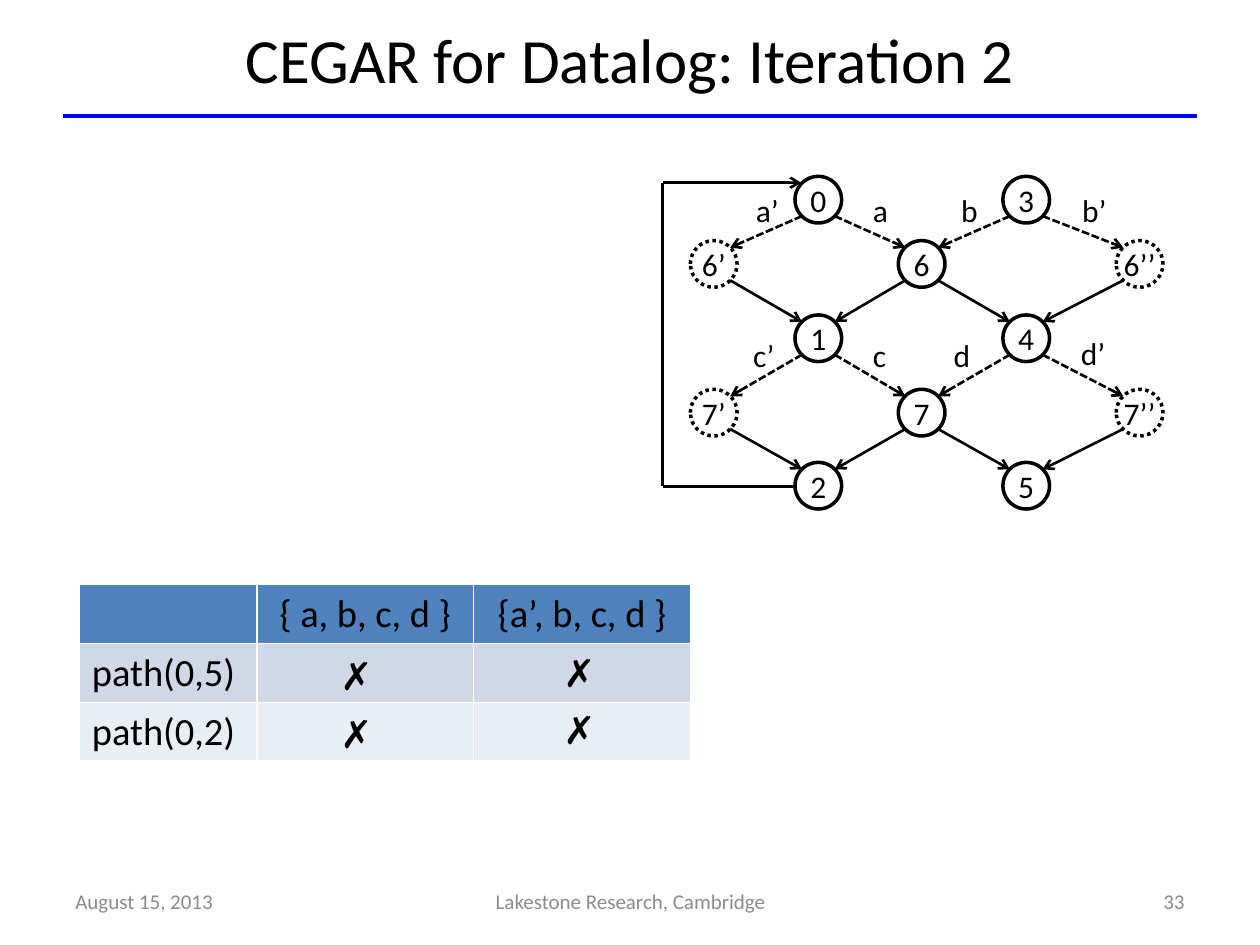
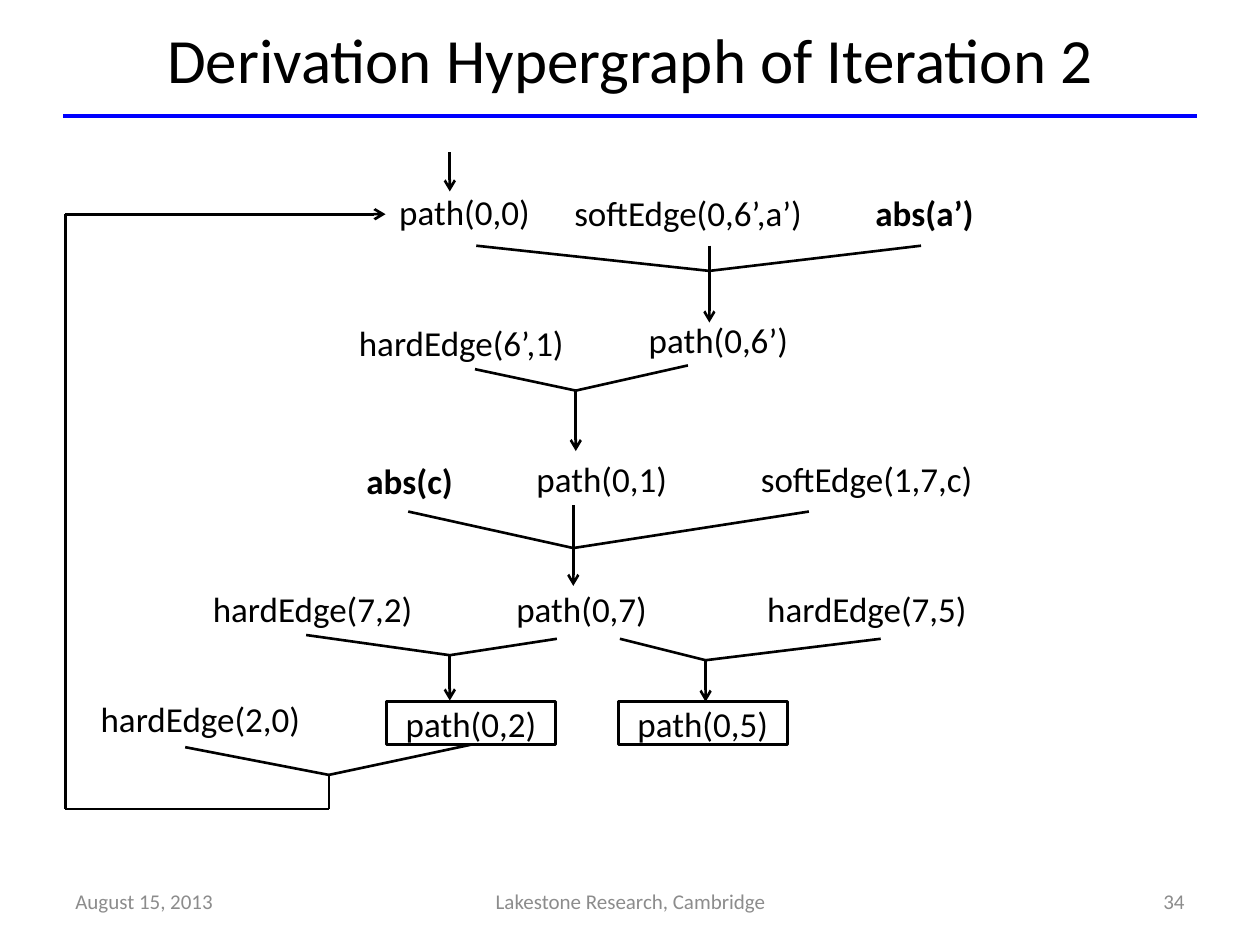
import lxml.etree
import pptx
import pptx.dml.color
import pptx.enum.dml
import pptx.enum.shapes
import pptx.enum.text
import pptx.oxml.ns
import pptx.util

Inches = pptx.util.Inches
BLACK = pptx.dml.color.RGBColor(0x00, 0x00, 0x00)
WHITE = pptx.dml.color.RGBColor(0xFF, 0xFF, 0xFF)
RULE_BLUE = pptx.dml.color.RGBColor(0x00, 0x00, 0xFF)
FOOTER_GRAY = pptx.dml.color.RGBColor(0x8C, 0x8C, 0x8C)
HEADER_BLUE = pptx.dml.color.RGBColor(0x4F, 0x81, 0xBD)
BAND_DARK = pptx.dml.color.RGBColor(0xD0, 0xD8, 0xE8)
BAND_LIGHT = pptx.dml.color.RGBColor(0xE9, 0xED, 0xF4)

LEFT = pptx.enum.text.PP_ALIGN.LEFT
CENTER = pptx.enum.text.PP_ALIGN.CENTER
RIGHT = pptx.enum.text.PP_ALIGN.RIGHT
TOP = pptx.enum.text.MSO_ANCHOR.TOP
MIDDLE = pptx.enum.text.MSO_ANCHOR.MIDDLE
DASHED = pptx.enum.dml.MSO_LINE.SQUARE_DOT
DOTTED = pptx.enum.dml.MSO_LINE.ROUND_DOT
OVAL = pptx.enum.shapes.MSO_SHAPE.OVAL
RECTANGLE = pptx.enum.shapes.MSO_SHAPE.RECTANGLE
STRAIGHT = pptx.enum.shapes.MSO_CONNECTOR.STRAIGHT


def write(frame, text, size, align=LEFT, anchor=TOP, color=BLACK, face="Calibri", bold=False):
    frame.text = text
    frame.word_wrap = True
    frame.vertical_anchor = anchor
    paragraph = frame.paragraphs[0]
    paragraph.alignment = align
    font = paragraph.runs[0].font
    font.name = face
    font.size = pptx.util.Pt(size)
    font.color.rgb = color
    font.bold = bold


def connect(slide, start, end, arrow=False, color=BLACK, width=1.5, dash=None):
    connector = slide.shapes.add_connector(STRAIGHT, *[Inches(v) for v in (*start, *end)])
    connector.line.color.rgb = color
    connector.line.width = pptx.util.Pt(width)
    if dash:
        connector.line.dash_style = dash
    properties = connector._element.spPr
    if arrow:
        outline = properties.find(pptx.oxml.ns.qn("a:ln"))
        lxml.etree.SubElement(outline, pptx.oxml.ns.qn("a:tailEnd"), type="arrow")
    lxml.etree.SubElement(properties, pptx.oxml.ns.qn("a:effectLst"))


deck = pptx.Presentation()
deck.slide_width = Inches(10)
deck.slide_height = Inches(7.5)

slides = []
for number, heading in [
    ("33", "CEGAR for Datalog: Iteration 2"),
    ("34", "Derivation Hypergraph of Iteration 2"),
]:
    slide = deck.slides.add_slide(deck.slide_layouts[5])
    slides.append(slide)
    connect(slide, (0.5, 0.92), (9.5, 0.92), color=RULE_BLUE, width=2.25)
    title = slide.shapes.title
    title.left, title.top, title.width, title.height = [Inches(v) for v in (0.5, 0, 9, 0.92)]
    write(title.text_frame, heading, 36, CENTER, MIDDLE)
    for left, width, text, align in [
        (0.5, 2.33, "August 15, 2013", LEFT),
        (3.42, 3.17, "Lakestone Research, Cambridge", CENTER),
        (7.17, 2.33, number, RIGHT),
    ]:
        footer = slide.shapes.add_textbox(Inches(left), Inches(6.95), Inches(width), Inches(0.4))
        write(footer.text_frame, text, 12, align, MIDDLE, FOOTER_GRAY)

iteration, hypergraph = slides

NODE_SIZE = 0.37
EDGE_OFFSET = 0.13
node_columns = [5.48, 6.31, 7.13, 7.96, 8.86]
node_rows = [1.4, 1.91, 2.5, 3.09, 3.67]
nodes = {
    "0": (1, 0), "3": (3, 0),
    "6’": (0, 1), "6": (2, 1), "6’’": (4, 1),
    "1": (1, 2), "4": (3, 2),
    "7’": (0, 3), "7": (2, 3), "7’’": (4, 3),
    "2": (1, 4), "5": (3, 4),
}
centers = {}
for name, (column, row) in nodes.items():
    left, top = node_columns[column], node_rows[row]
    centers[name] = (left + NODE_SIZE / 2, top + NODE_SIZE / 2)
    node = iteration.shapes.add_shape(
        OVAL, Inches(left), Inches(top), Inches(NODE_SIZE), Inches(NODE_SIZE))
    node.shadow.inherit = False
    node.fill.solid()
    node.fill.fore_color.rgb = WHITE
    node.line.color.rgb = BLACK
    node.line.width = pptx.util.Pt(2)
    if "’" in name:
        node.line.dash_style = DOTTED
    frame = node.text_frame
    frame.margin_left = frame.margin_right = frame.margin_top = frame.margin_bottom = 0
    write(frame, name, 18, CENTER, MIDDLE)
    frame.word_wrap = False

for source, targets in {
    "0": ["6’", "6"], "3": ["6", "6’’"],
    "6’": ["1"], "6": ["1", "4"], "6’’": ["4"],
    "1": ["7’", "7"], "4": ["7", "7’’"],
    "7’": ["2"], "7": ["2", "5"], "7’’": ["5"],
}.items():
    for target in targets:
        (x1, y1), (x2, y2) = centers[source], centers[target]
        shift = EDGE_OFFSET if x2 > x1 else -EDGE_OFFSET
        connect(iteration, (x1 + shift, y1 + EDGE_OFFSET), (x2 - shift, y2 - EDGE_OFFSET),
                arrow=True, dash=DASHED if source in "0314" else None)

for text, left, top in [
    ("a’", 5.9, 1.47), ("a", 6.83, 1.47), ("b", 7.53, 1.47), ("b’", 8.49, 1.47),
    ("c’", 5.88, 2.62), ("c", 6.83, 2.62), ("d", 7.47, 2.62), ("d’", 8.48, 2.6),
]:
    edge_label = iteration.shapes.add_textbox(
        Inches(left), Inches(top), Inches(0.5), Inches(NODE_SIZE))
    write(edge_label.text_frame, text, 18)

connect(iteration, (6.31, 3.86), (5.26, 3.86))
connect(iteration, (5.26, 3.86), (5.26, 1.45))
connect(iteration, (5.26, 1.45), (6.36, 1.45), arrow=True)

queries = iteration.shapes.add_table(
    3, 3, Inches(0.63), Inches(4.64), Inches(4.85), Inches(1.38)).table
for column, width in zip(queries.columns, [1.41, 1.72, 1.72]):
    column.width = Inches(width)
for row, (fill, texts) in enumerate([
    (HEADER_BLUE, ["", "{ a, b, c, d }", "{a’, b, c, d }"]),
    (BAND_DARK, ["path(0,5)", "", ""]),
    (BAND_LIGHT, ["path(0,2)", "", ""]),
]):
    queries.rows[row].height = Inches(0.46)
    for column, text in enumerate(texts):
        cell = queries.cell(row, column)
        cell.fill.solid()
        cell.fill.fore_color.rgb = fill
        if text:
            write(cell.text_frame, text, 22, LEFT if column == 0 else CENTER)

for left, top in [(2.56, 5.1), (2.56, 5.56), (4.33, 5.08), (4.33, 5.53)]:
    cross = iteration.shapes.add_textbox(Inches(left), Inches(top), Inches(0.54), Inches(0.51))
    write(cross.text_frame, "✗", 22, CENTER, MIDDLE, face="Arial")

for text, left, top, width in [
    ("path(0,0)", 3.07, 1.46, 1.34),
    ("softEdge(0,6’,a’)", 4.46, 1.47, 2.26),
    ("abs(a’)", 6.85, 1.47, 1.03),
    ("hardEdge(6’,1)", 2.75, 2.5, 2.03),
    ("path(0,6’)", 5.05, 2.48, 1.34),
    ("abs(c)", 2.81, 3.6, 0.92),
    ("path(0,1)", 4.16, 3.58, 1.34),
    ("softEdge(1,7,c)", 5.94, 3.58, 2.26),
    ("hardEdge(7,2)", 1.59, 4.61, 1.98),
    ("path(0,7)", 4, 4.61, 1.34),
    ("hardEdge(7,5)", 5.99, 4.61, 1.98),
    ("hardEdge(2,0)", 0.7, 5.49, 2.02),
]:
    fact = hypergraph.shapes.add_textbox(Inches(left), Inches(top), Inches(width), Inches(0.44))
    write(fact.text_frame, text, 20, bold=text.startswith("abs"))

for text, left in [("path(0,2)", 3.07), ("path(0,5)", 4.91)]:
    goal = hypergraph.shapes.add_shape(
        RECTANGLE, Inches(left), Inches(5.57), Inches(1.34), Inches(0.34))
    goal.shadow.inherit = False
    goal.fill.background()
    goal.line.color.rgb = BLACK
    goal.line.width = pptx.util.Pt(1.5)
    goal.text_frame.margin_left = goal.text_frame.margin_right = Inches(0.15)
    goal.text_frame.margin_top = goal.text_frame.margin_bottom = 0
    write(goal.text_frame, text, 20, anchor=MIDDLE)
    goal.text_frame.word_wrap = False

for premises, junction, bottom in [
    ([(3.78, 1.95), (5.63, 1.95), (7.31, 1.95)], (5.63, 2.15), 2.56),
    ([(3.77, 2.93), (5.46, 2.9)], (4.57, 3.1), 3.58),
    ([(3.24, 4.06), (4.55, 4.01), (6.42, 4.06)], (4.55, 4.35), 4.65),
    ([(2.43, 5.04), (4.42, 5.07)], (3.57, 5.2), 5.56),
    ([(4.92, 5.07), (6.99, 5.07)], (5.6, 5.24), 5.57),
    ([(1.47, 5.93), (3.74, 5.91)], (2.61, 6.15), 6.42),
]:
    for premise in premises:
        connect(hypergraph, premise, junction)
    connect(hypergraph, junction, (junction[0], bottom), arrow=bottom < 6)

connect(hypergraph, (3.57, 1.21), (3.57, 1.52), arrow=True)
connect(hypergraph, (2.61, 6.42), (0.52, 6.42))
connect(hypergraph, (0.52, 6.42), (0.52, 1.7))
connect(hypergraph, (0.52, 1.7), (3.06, 1.7), arrow=True)

deck.save("out.pptx")
